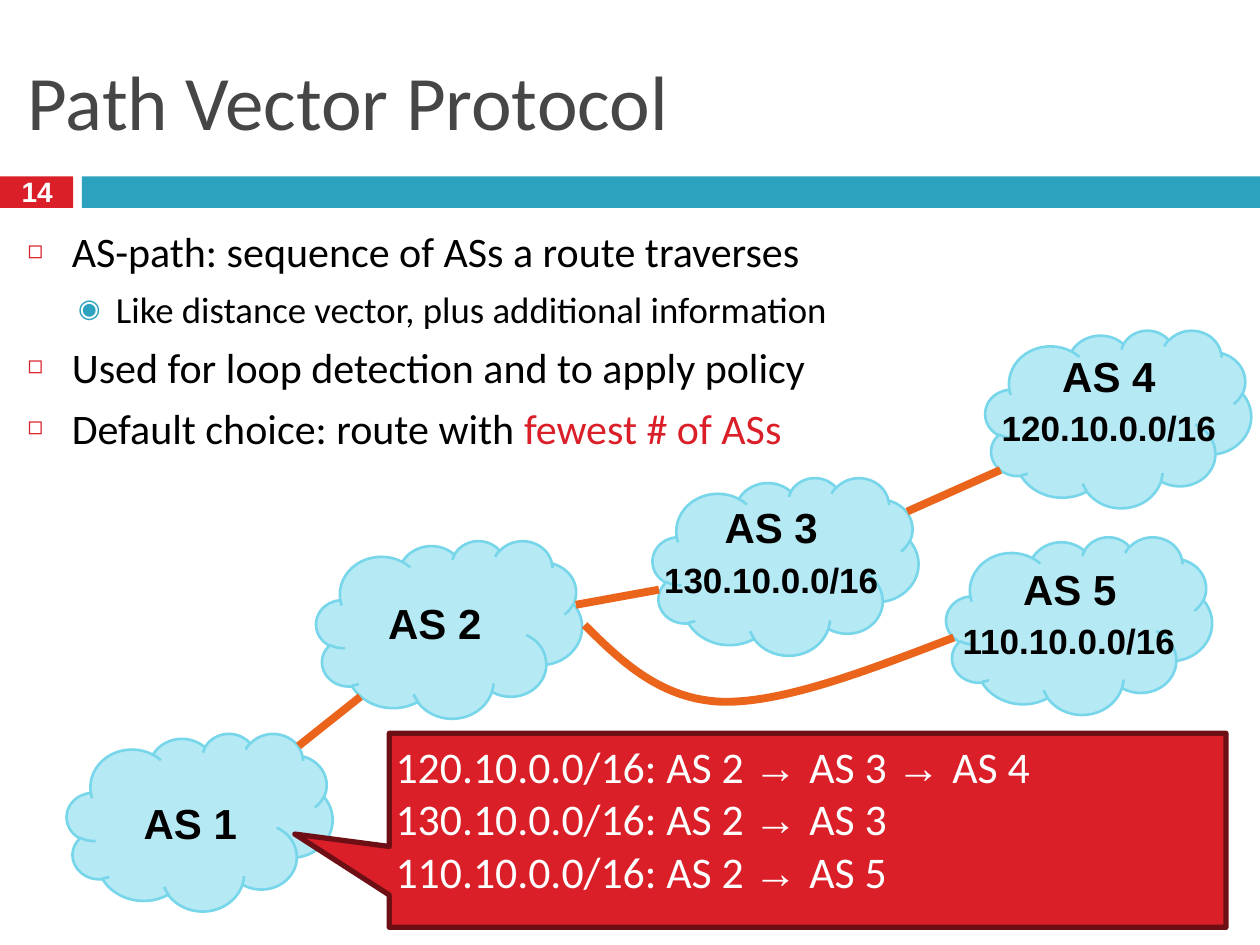
from lxml import etree
from pptx import Presentation
from pptx import util as u
from pptx.dml.color import RGBColor
from pptx.enum import shapes, text
from pptx.oxml.ns import qn

EMU_PER_PX = 9144  # 100 px to the inch
COLORS = {
    "red": "DA1F28", "dark_red": "6D0F14", "teal": "2DA2BF", "title": "464646",
    "cloud": "B5E9F4", "cloud_line": "78D6EA", "link": "EB641B",
    "black": "000000", "white": "FFFFFF",
}
# Indent, hanging, bullet, bullet colour, bullet percent and font size per level
LEVELS = [(35, 35, "◻", "red", 60, 24), (70, 30, "◉", "teal", 70, 21)]


def px(value):
    return u.Emu(value * EMU_PER_PX)


def rgb(name):
    return RGBColor.from_string(COLORS[name])


class SlideBuilder:
    def __init__(self, presentation):
        self.slide = presentation.slides.add_slide(presentation.slide_layouts[1])
        self.shapes = self.slide.shapes

    def font(self, paragraph, size, color, name="Calibri", bold=False):
        font = paragraph.font
        font.name, font.size, font.bold = name, u.Pt(size), bold
        font.color.rgb = rgb(color)

    def frame(self, shape, anchor=text.MSO_ANCHOR.TOP, wrap=True):
        frame = shape.text_frame
        frame.margin_left = frame.margin_right = px(5)
        frame.margin_top = frame.margin_bottom = px(5)
        frame.auto_size = text.MSO_AUTO_SIZE.NONE
        frame.vertical_anchor, frame.word_wrap = anchor, wrap
        return frame

    def place(self, shape, left, top, width, height):
        shape.left, shape.top = px(left), px(top)
        shape.width, shape.height = px(width), px(height)

    def preset(self, kind, box, fill, line=None, weight=0):
        shape = self.shapes.add_shape(kind, *map(px, box))
        shape.shadow.inherit = False
        shape.fill.solid()
        shape.fill.fore_color.rgb = rgb(fill)
        if line:
            shape.line.color.rgb, shape.line.width = rgb(line), u.Pt(weight)
        else:
            shape.line.fill.background()
        return shape

    def title(self, words, box):
        shape = self.shapes.title
        self.place(shape, *box)
        paragraph = self.frame(shape, text.MSO_ANCHOR.MIDDLE).paragraphs[0]
        paragraph.text = words
        paragraph.alignment = text.PP_ALIGN.LEFT
        self.font(paragraph, 44, "title")

    def bullets(self, items, box):
        shape = self.slide.placeholders[1]
        self.place(shape, *box)
        frame = self.frame(shape)
        for index, (level, words, accent) in enumerate(items):
            paragraph = frame.add_paragraph() if index else frame.paragraphs[0]
            paragraph.level = level
            paragraph.add_run().text = words
            paragraph.space_before = u.Pt(6 if index else 0)
            indent, hanging, mark, color, percent, size = LEVELS[level]
            properties = paragraph._p.get_or_add_pPr()
            properties.set("marL", str(px(indent)))
            properties.set("indent", str(px(-hanging)))
            bullet_color = etree.SubElement(properties, qn("a:buClr"))
            etree.SubElement(bullet_color, qn("a:srgbClr"), val=COLORS[color])
            etree.SubElement(properties, qn("a:buSzPct"), val=str(percent * 1000))
            etree.SubElement(properties, qn("a:buChar"), char=mark)
            self.font(paragraph, size, "black")
            if accent:
                run = paragraph.add_run()
                run.text = accent
                run.font.color.rgb = rgb("red")

    def label(self, words, box, size, color="black"):
        shape = self.shapes.add_textbox(*map(px, box))
        paragraph = self.frame(shape, wrap=False).paragraphs[0]
        paragraph.text = words
        self.font(paragraph, size, color, "Arial", True)
        return shape

    def cloud(self, left, top):
        self.preset(shapes.MSO_SHAPE.CLOUD, (left, top, 211, 141),
                    "cloud", "cloud_line", 1.5)

    def link(self, start, end):
        line = self.shapes.add_connector(
            shapes.MSO_CONNECTOR.STRAIGHT, *map(px, start + end))
        line.line.color.rgb, line.line.width = rgb("link"), u.Pt(4.5)
        etree.SubElement(line._element.spPr, qn("a:effectLst"))

    def curve(self, start, *points):
        builder = self.shapes.build_freeform(*start, scale=EMU_PER_PX)
        builder.add_line_segments(points, close=False)
        shape = builder.convert_to_shape()
        shape.shadow.inherit = False
        shape.fill.background()
        shape.line.color.rgb, shape.line.width = rgb("link"), u.Pt(4.5)
        # Every three line ends become one cubic segment
        segments = list(shape._element.iter(qn("a:lnTo")))
        outline = segments[0].getparent()
        for first in range(0, len(segments), 3):
            cubic = etree.SubElement(outline, qn("a:cubicBezTo"))
            for segment in segments[first:first + 3]:
                cubic.append(segment[0])
                outline.remove(segment)

    def callout(self, routes, box, tip):
        shape = self.preset(shapes.MSO_SHAPE.RECTANGULAR_CALLOUT, box,
                            "red", "dark_red", 3)
        left, top, width, height = box
        shape.adjustments[0] = (tip[0] - left) / width - 0.5
        shape.adjustments[1] = (tip[1] - top) / height - 0.5
        frame = self.frame(shape)
        for index, (prefix, *hops) in enumerate(routes):
            paragraph = frame.add_paragraph() if index else frame.paragraphs[0]
            paragraph.alignment = text.PP_ALIGN.LEFT
            self.font(paragraph, 25, "white")
            paragraph.add_run().text = f"{prefix}: {hops[0]}"
            for hop in hops[1:]:
                paragraph.add_run().text = " "
                arrow = paragraph.add_run()
                arrow.text, arrow.font.name = "→ ", "Arial"
                paragraph.add_run().text = hop


def main():
    presentation = Presentation()
    presentation.slide_width, presentation.slide_height = px(1000), px(750)
    builder = SlideBuilder(presentation)

    # Header band and slide number
    rectangle = shapes.MSO_SHAPE.RECTANGLE
    builder.preset(rectangle, (0, 140, 58, 25), "red")
    builder.preset(rectangle, (65, 140, 935, 25), "teal")
    number = builder.label("14", (12, 137, 35, 35), 16, "white")
    number.text_frame.vertical_anchor = text.MSO_ANCHOR.MIDDLE
    number.text_frame.paragraphs[0].alignment = text.PP_ALIGN.CENTER
    number.text_frame.paragraphs[0].line_spacing = 0.8

    # Title and list
    builder.title("Path Vector Protocol", (17, 25, 967, 108))
    builder.bullets([
        (0, "AS-path: sequence of ASs a route traverses", ""),
        (1, "Like distance vector, plus additional information", ""),
        (0, "Used for loop detection and to apply policy", ""),
        (0, "Default choice: route with ", "fewest # of ASs"),
    ], (17, 174, 967, 243))

    # Autonomous systems: cloud corner, label corner, address prefix
    systems = [
        ("AS 1", (53, 582), (109, 628), None),
        ("AS 2", (251, 429), (303, 469), None),
        ("AS 3", (518, 379), (570, 393), "130.10.0.0/16"),
        ("AS 4", (782, 262), (838, 273), "120.10.0.0/16"),
        ("AS 5", (751, 426), (807, 442), "110.10.0.0/16"),
    ]
    for name, corner, (left, top), prefix in systems:
        builder.cloud(*corner)
        builder.label(name, (left, top, 85, 48), 24)
        if prefix:
            builder.label(prefix, (left - 48, top + 45, 181, 41), 20)

    # Links between the systems
    builder.link((286, 553), (237, 592))
    builder.link((457, 480), (523, 468))
    builder.link((794, 373), (720, 406))
    builder.curve((464, 496), (494, 526), (525, 555), (573, 557),
                  (622, 558), (689, 532), (757, 506))

    # Routes known to AS 1
    builder.callout([
        ("120.10.0.0/16", "AS 2", "AS 3", "AS 4"),
        ("130.10.0.0/16", "AS 2", "AS 3"),
        ("110.10.0.0/16", "AS 2", "AS 5"),
    ], (309, 582, 664, 154), (234, 662))

    presentation.save("out.pptx")


if __name__ == "__main__":
    main()
